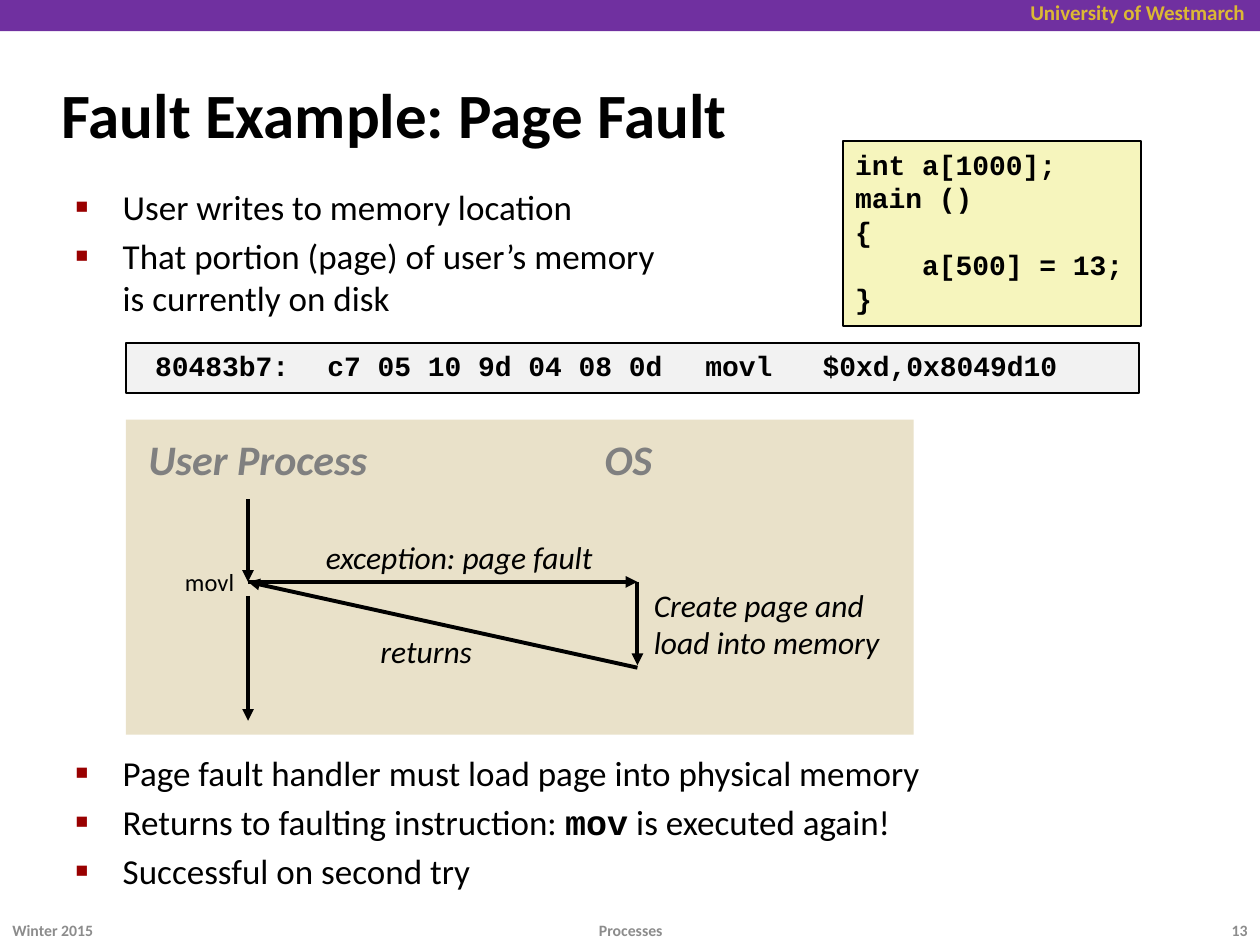
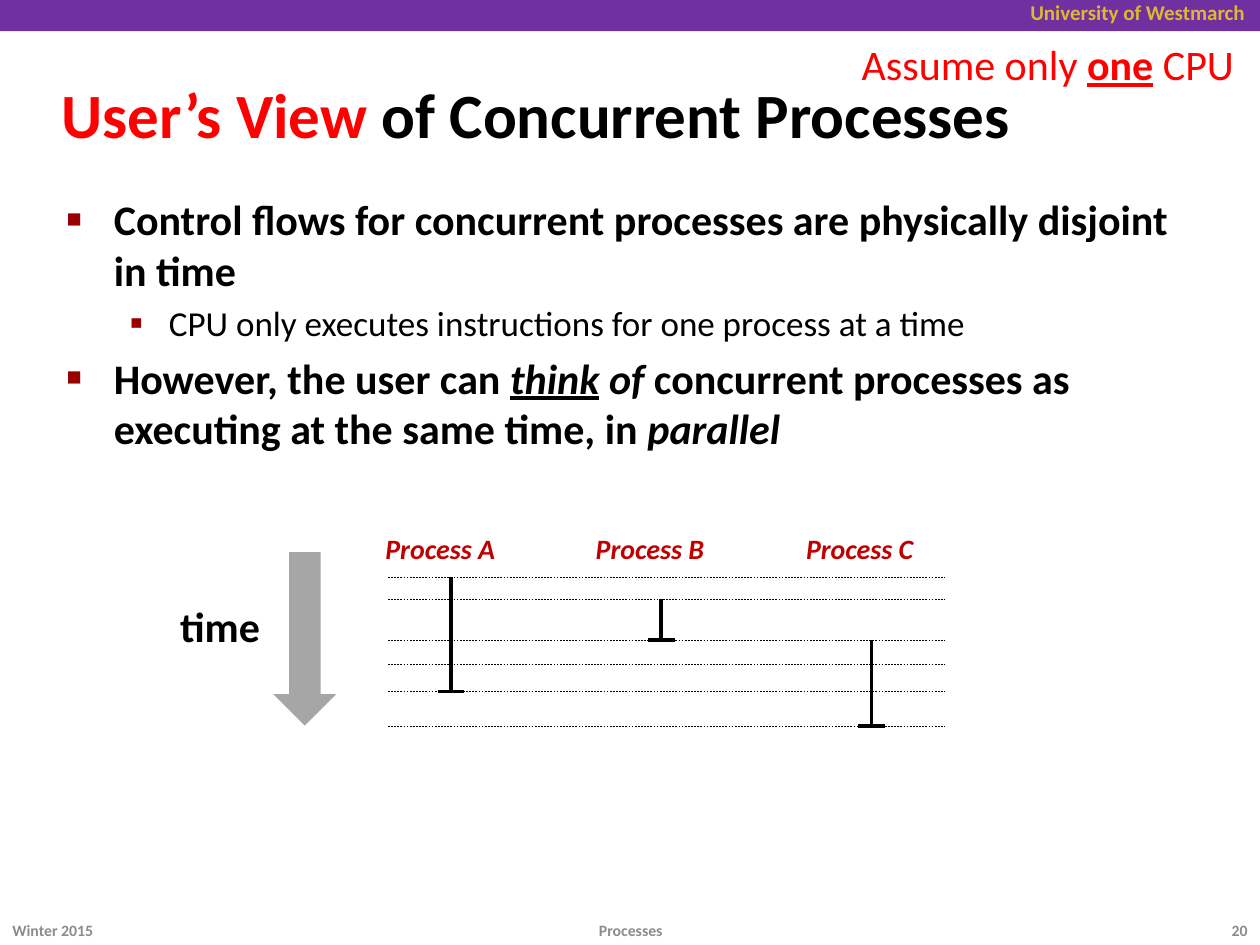
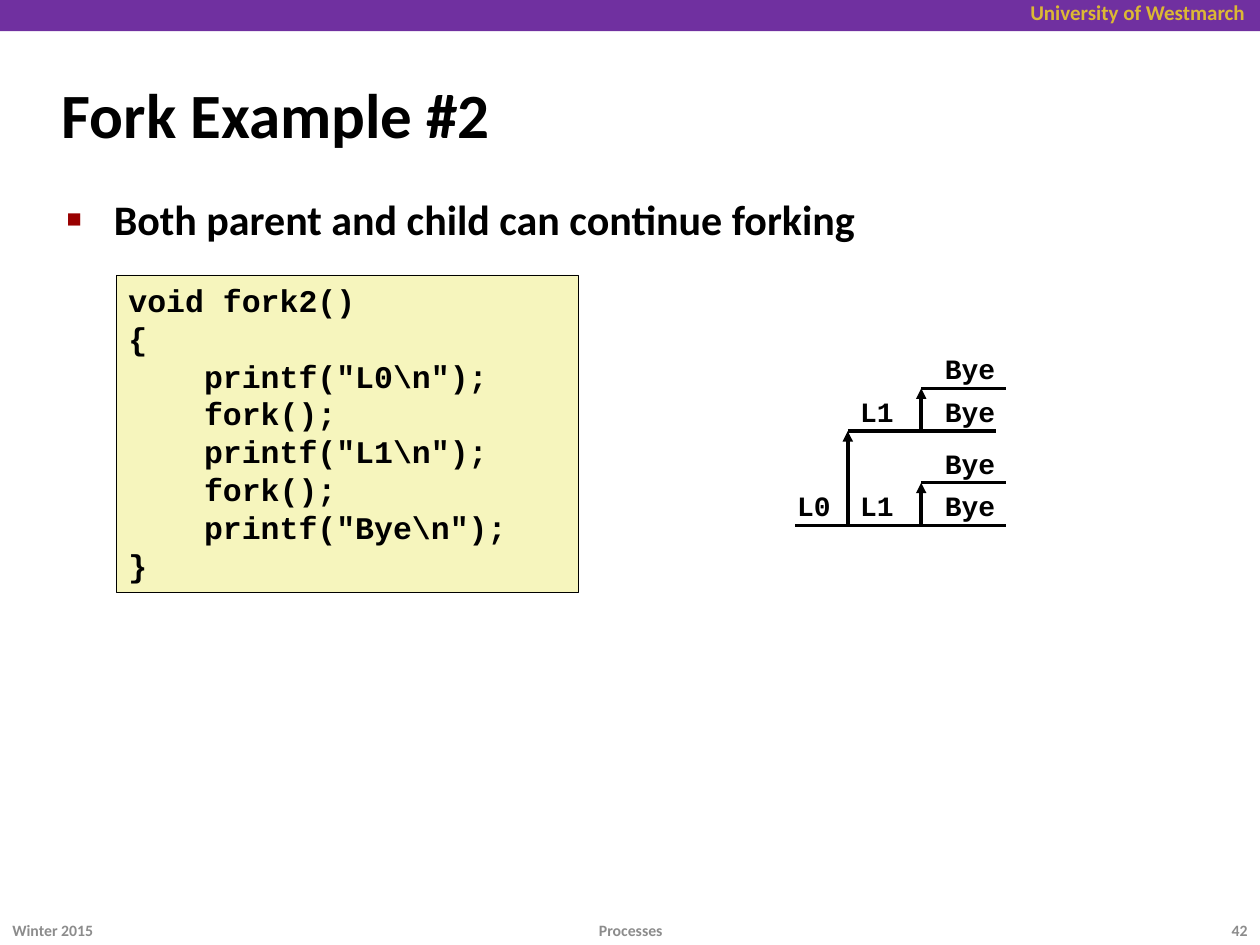
from lxml import etree
from pptx import Presentation
from pptx.dml.color import RGBColor
from pptx.enum.dml import MSO_LINE
from pptx.enum.shapes import MSO_CONNECTOR, MSO_SHAPE
from pptx.enum.text import MSO_ANCHOR, MSO_AUTO_SIZE, PP_ALIGN
from pptx.oxml.ns import qn
from pptx.util import Cm, Pt

LEFT, CENTER, RIGHT = PP_ALIGN.LEFT, PP_ALIGN.CENTER, PP_ALIGN.RIGHT
TOP, MIDDLE = MSO_ANCHOR.TOP, MSO_ANCHOR.MIDDLE
STRAIGHT, DASH = MSO_CONNECTOR.STRAIGHT, MSO_LINE.DASH
RECTANGLE, DOWN_ARROW = MSO_SHAPE.RECTANGLE, MSO_SHAPE.DOWN_ARROW
BODY_FONT, CODE_FONT = "Calibri", "Courier New"
COLORS = {
    "band": "7030A0", "gold": "DCB834", "black": "000000", "red": "FF0000",
    "bullet": "990000", "process": "C00000", "footer": "8C8C8C",
    "heading": "808080", "panel": "E9E1C9", "code": "F6F5BD",
    "assembly": "F2F2F2", "time": "A6A6A6",
}


def put_text(shape, paragraphs, size, color="black", font=BODY_FONT, bold=False,
             italic=False, align=LEFT, anchor=TOP, wrap=False):
    """Fill a shape; a paragraph is a string or a list of (text, changes) runs."""
    frame = shape.text_frame
    frame.auto_size = MSO_AUTO_SIZE.NONE
    frame.word_wrap = wrap
    frame.vertical_anchor = anchor
    for index, runs in enumerate(paragraphs):
        paragraph = frame.add_paragraph() if index else frame.paragraphs[0]
        paragraph.alignment = align
        for text, changes in [(runs, {})] if isinstance(runs, str) else runs:
            if text == "\n":
                paragraph.add_line_break()
                continue
            run = paragraph.add_run()
            run.text = text
            run.font.size = Pt(changes.get("size", size))
            run.font.name = changes.get("font", font)
            run.font.bold = changes.get("bold", bold)
            run.font.italic = changes.get("italic", italic)
            run.font.underline = changes.get("underline", False)
            run.font.color.rgb = RGBColor.from_string(COLORS[changes.get("color", color)])


def draw_line(slide, x1, y1, x2, y2, width=2, arrow=False, dash=None):
    line = slide.shapes.add_connector(STRAIGHT, Cm(x1), Cm(y1), Cm(x2), Cm(y2))
    line.line.color.rgb = RGBColor.from_string(COLORS["black"])
    line.line.width = Pt(width)
    if dash:
        line.line.dash_style = dash
    properties = line.element.spPr
    if arrow:
        etree.SubElement(properties.find(qn("a:ln")), qn("a:tailEnd"), type="triangle")
    etree.SubElement(properties, qn("a:effectLst"))
    return line


prs = Presentation()
prs.slide_width, prs.slide_height = Cm(25.4), Cm(19.05)
layout = prs.slide_layouts[1]

# Titles and bullet lists: (level, runs, space before in points or None for 20 %)
STANDARD_BODY = (1.09, 3.78, 23.24, 13.82)
contents = [
    (13, ["Fault Example: Page Fault"], (1.27, 3.61, 22.66, 14.2), 20, False, [
        (0, "User writes to memory location", None),
        (0, [("That portion (page) of user’s memory", {}), ("\n", {}),
             ("is currently on disk", {})], None),
        (0, "Page fault handler must load page into physical memory", 247.6),
        (0, [("Returns to faulting instruction: ", {}),
             ("mov", {"font": CODE_FONT, "bold": True}),
             (" is executed again!", {})], None),
        (0, "Successful on second try", None),
    ]),
    (20, [[("User’s View", {"color": "red"}), (" of Concurrent Processes", {})]],
     STANDARD_BODY, 24, True, [
        (0, "Control flows for concurrent processes are physically disjoint in time", None),
        (1, [("CPU only executes instructions for one process at a time",
              {"size": 20, "bold": False})], None),
        (0, [("However, the user can ", {}), ("think", {"italic": True, "underline": True}),
             (" of", {"italic": True}),
             (" concurrent processes as executing at the same time, in ", {}),
             ("parallel", {"italic": True})], None),
    ]),
    (42, ["Fork Example #2"], STANDARD_BODY, 24, True, [
        (0, "Both parent and child can continue forking", None),
    ]),
]
# Bullet by level: left margin, hanging indent, size in percent, character
BULLETS = [(0.95, 0.95, 60, "■"), (2.06, 0.79, 110, "▪")]

for number, title, body_box, body_size, body_bold, items in contents:
    slide = prs.slides.add_slide(layout)
    heading, body = slide.placeholders
    heading.left, heading.top, heading.width, heading.height = map(Cm, (0.99, 1.22, 23.34, 2.11))
    put_text(heading, title, 36, bold=True, anchor=MIDDLE, wrap=True)

    body.left, body.top, body.width, body.height = map(Cm, body_box)
    put_text(body, [runs for _, runs, _ in items], body_size, bold=body_bold, wrap=True)
    for paragraph, (level, _, gap) in zip(body.text_frame.paragraphs, items):
        margin, hanging, percent, character = BULLETS[level]
        paragraph.level = level
        paragraph.space_before = Pt(gap or 0.2 * paragraph.runs[0].font.size.pt)
        properties = paragraph._p.get_or_add_pPr()
        properties.set("marL", str(Cm(margin)))
        properties.set("indent", str(-Cm(hanging)))
        bullet_color = etree.SubElement(properties, qn("a:buClr"))
        etree.SubElement(bullet_color, qn("a:srgbClr"), val=COLORS["bullet"])
        etree.SubElement(properties, qn("a:buSzPct"), val=str(percent * 1000))
        etree.SubElement(properties, qn("a:buChar"), char=character)

    # Footer
    for left, width, text, align in [(0, 7.62, "Winter 2015", LEFT),
                                     (8.69, 8.05, "Processes", CENTER),
                                     (23.7, 1.7, str(number), RIGHT)]:
        footer = slide.shapes.add_textbox(Cm(left), Cm(18.24), Cm(width), Cm(1.02))
        put_text(footer, [text], 9, "footer", bold=True, align=align, anchor=MIDDLE, wrap=True)

fault_slide, view_slide, fork_slide = prs.slides

# Plain filled shapes
filled = []
for slide, kind, box, color in [
    (fault_slide, RECTANGLE, (0, 0, 25.4, 0.63), "band"),
    (fault_slide, RECTANGLE, (2.54, 8.46, 15.88, 6.35), "panel"),
    (view_slide, DOWN_ARROW, (5.51, 11.13, 1.27, 3.5), "time"),
]:
    shape = slide.shapes.add_shape(kind, *map(Cm, box))
    shape.shadow.inherit = False
    shape.fill.solid()
    shape.fill.fore_color.rgb = RGBColor.from_string(COLORS[color])
    shape.line.fill.background()
    filled.append(shape)

# Top band and university name go to the shared layout
university = fault_slide.shapes.add_textbox(Cm(18.62), Cm(-0.13), Cm(6.73), Cm(0.76))
put_text(university, ["University of Westmarch"], 12, "gold", bold=True, align=RIGHT, wrap=True)
for shared in (filled[0], university):
    layout.shapes.element.append(shared.element)

# Code boxes
for slide, box, color, border, size, code in [
    (fault_slide, (16.99, 2.84, 6.02, 3.73), "code", 1, 16,
     ["int a[1000];", "main ()", "{", "    a[500] = 13;", "}"]),
    (fault_slide, (2.54, 6.91, 20.42, 1.02), "assembly", 1, 16,
     [" 80483b7:\tc7 05 10 9d 04 08 0d \tmovl   $0xd,0x8049d10"]),
    (fork_slide, (2.34, 5.54, 9.32, 6.4), "code", 0.25, 18,
     ["void fork2()", "{", '    printf("L0\\n");', "    fork();",
      '    printf("L1\\n");', "    fork();", '    printf("Bye\\n");', "}"]),
]:
    listing = slide.shapes.add_shape(RECTANGLE, *map(Cm, box))
    listing.shadow.inherit = False
    listing.fill.solid()
    listing.fill.fore_color.rgb = RGBColor.from_string(COLORS[color])
    listing.line.color.rgb = RGBColor.from_string(COLORS["black"])
    listing.line.width = Pt(border)
    put_text(listing, code, size, font=CODE_FONT, bold=True, wrap=True)

# Page fault: labels
for box, lines, size, color, bold in [
    ((2.74, 8.61, 5, 1.27), ["User Process"], 24, "heading", True),
    ((11.94, 8.61, 1.5, 1.27), ["OS"], 24, "heading", True),
    ((6.32, 10.72, 5.94, 1.02), ["exception: page fault"], 18, "black", False),
    ((12.93, 11.68, 5.49, 1.78), ["Create page and", "load into memory"], 18, "black", False),
    ((7.42, 12.62, 2.36, 1.02), ["returns"], 18, "black", False),
]:
    label = fault_slide.shapes.add_textbox(*map(Cm, box))
    put_text(label, lines, size, color, bold=bold, italic=True)
movl = fault_slide.shapes.add_textbox(Cm(3.48), Cm(11.3), Cm(1.52), Cm(0.86))
put_text(movl, ["movl"], 14)

# Page fault: control flow
user_x, os_x, fault_y, return_y = 5, 12.85, 11.73, 13.46
draw_line(fault_slide, user_x, 10.06, user_x, fault_y, 2.25, arrow=True)
exception = draw_line(fault_slide, user_x, fault_y, os_x, fault_y, 2.25, arrow=True)
exception.begin_connect(movl, 3)
draw_line(fault_slide, os_x, fault_y, os_x, return_y - 0.05, 2.25, arrow=True)
returns = draw_line(fault_slide, os_x, return_y, user_x, fault_y, 2.25, arrow=True)
returns.end_connect(movl, 3)
draw_line(fault_slide, user_x, 12.01, user_x, 14.53, 2.25, arrow=True)

# Concurrent processes: assumption and time axis
assumption = view_slide.shapes.add_textbox(Cm(17.12), Cm(0.66), Cm(8.23), Cm(1.27))
put_text(assumption, [[("Assume only ", {}), ("one", {"bold": True, "underline": True}),
                       (" CPU", {})]], 24, "red")
time_label = view_slide.shapes.add_textbox(Cm(3.38), Cm(11.99), Cm(2.13), Cm(1.27))
put_text(time_label, ["time"], 24, bold=True)
for moment in (11.63, 12.07, 12.9, 13.39, 13.94, 14.63):
    draw_line(view_slide, 7.82, moment, 19.05, moment, 0.25, dash=DASH)

# Concurrent processes: life spans
for index, (name, start, end) in enumerate([("A", 11.63, 13.94), ("B", 12.07, 12.9),
                                            ("C", 12.9, 14.63)]):
    x = 9.09 + 4.24 * index
    process = view_slide.shapes.add_textbox(Cm(x - 1.57), Cm(10.59), Cm(2.77), Cm(0.94))
    put_text(process, [f"Process {name}"], 16, "process", bold=True, italic=True)
    draw_line(view_slide, x, start, x, end)
    draw_line(view_slide, x - 0.27, end, x + 0.27, end)

# Fork tree
start_x, first_x, second_x, end_x = 16.03, 17.09, 18.57, 20.27
parent_y, child_y, fork_rise = 10.59, 8.69, 0.86
draw_line(fork_slide, start_x, parent_y, first_x, parent_y)
draw_line(fork_slide, first_x, parent_y, first_x, child_y, arrow=True)
outputs = [("L0", 15.82, parent_y, 1.19)]
for y, line_end in [(parent_y, end_x), (child_y, end_x - 0.2)]:
    forked_y = y - fork_rise
    draw_line(fork_slide, first_x, y, line_end, y)
    draw_line(fork_slide, second_x, y, second_x, forked_y, arrow=True)
    draw_line(fork_slide, second_x, forked_y, end_x, forked_y)
    outputs += [("L1", first_x, y, 1.19), ("Bye", 18.8, y, 1.52), ("Bye", 18.8, forked_y, 1.52)]
for text, x, y, width in outputs:
    output = fork_slide.shapes.add_textbox(Cm(x), Cm(y - 0.86), Cm(width), Cm(0.94))
    put_text(output, [text], 16, font=CODE_FONT, bold=True)

prs.save("out.pptx")
